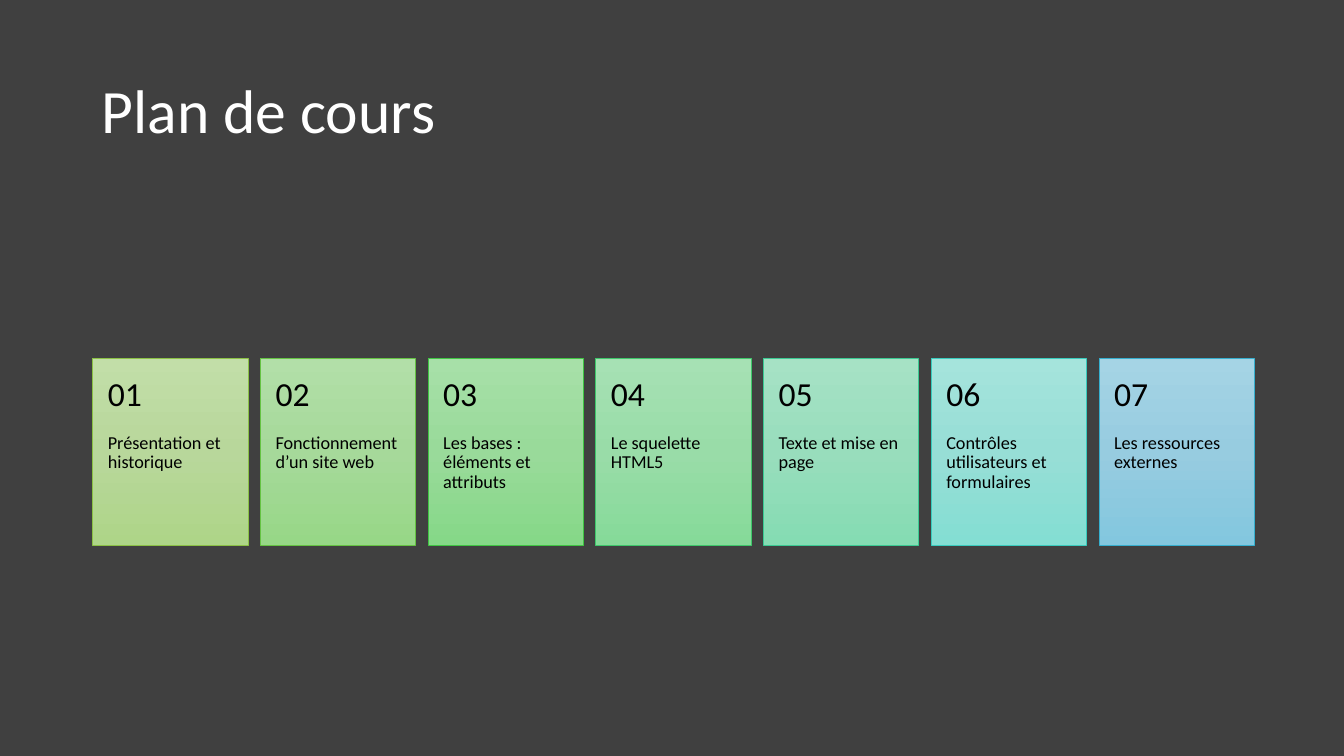
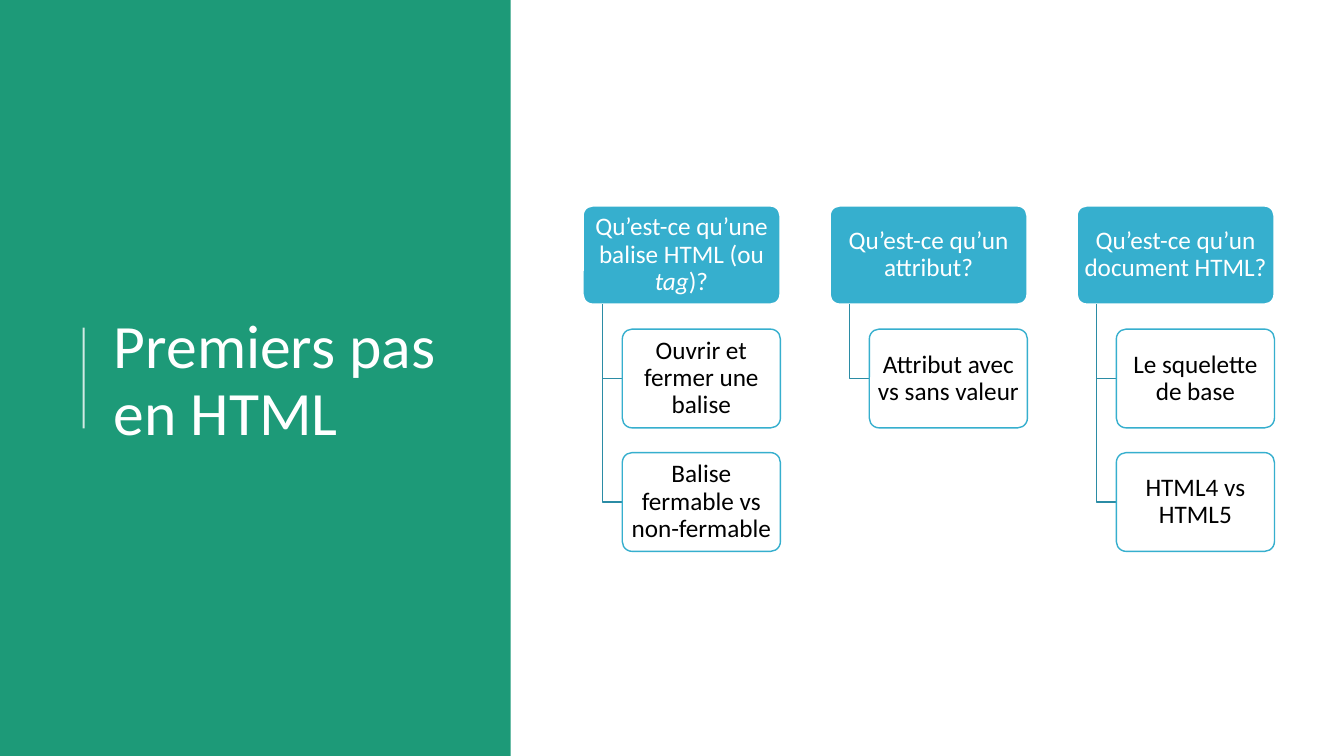
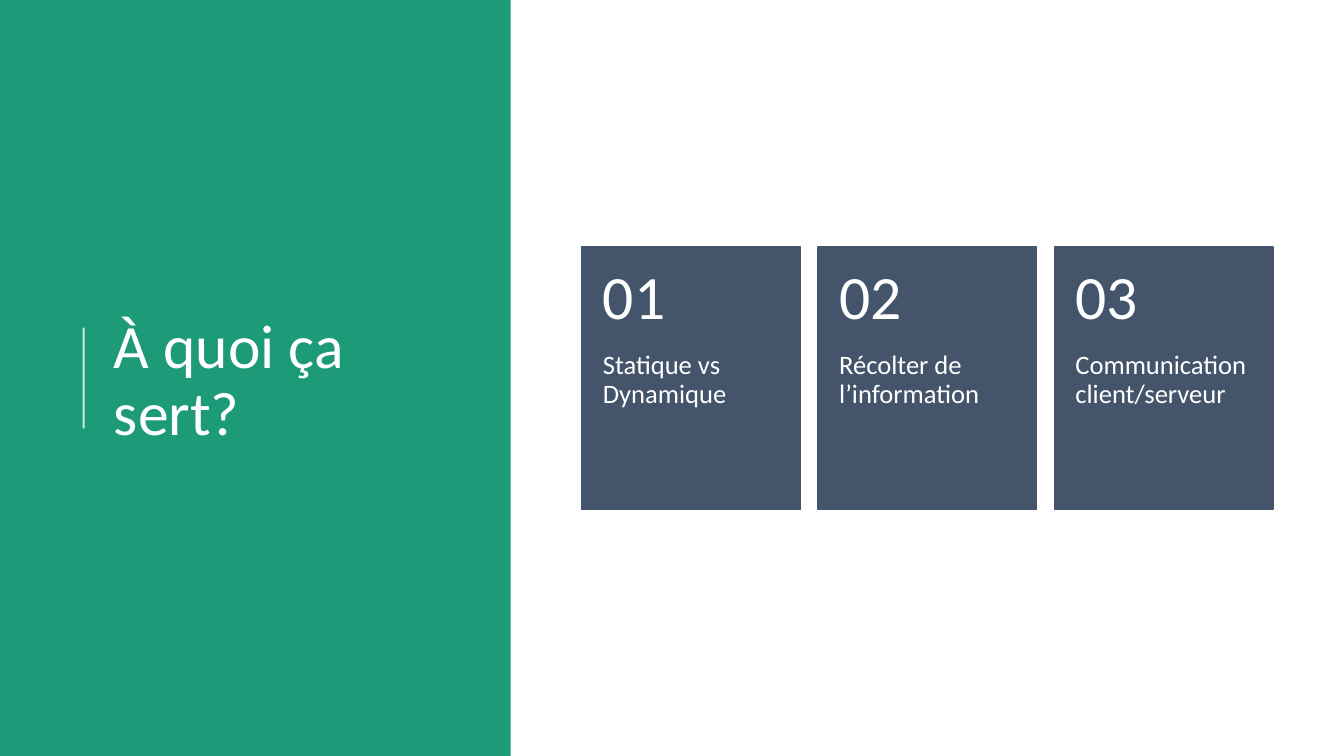
from copy import deepcopy
from dataclasses import dataclass

from lxml.etree import SubElement
from pptx import Presentation
from pptx.dml.color import RGBColor
from pptx.enum.shapes import MSO_CONNECTOR as Conn, MSO_SHAPE as Geo
from pptx.enum.text import MSO_ANCHOR as Anchor, MSO_AUTO_SIZE as Auto, PP_ALIGN as Align
from pptx.oxml.ns import qn
from pptx.shapes.base import BaseShape
from pptx.slide import Slide
from pptx.text.text import TextFrame
from pptx.util import Inches, Pt

WIDTH, HEIGHT = 13.33, 7.5
FONT = "Calibri"
COLORS = {
    "dark": "404040", "white": "FFFFFF", "black": "000000", "panel": "1D9A78",
    "topic": "36AFCE", "branch": "2B8CA5", "slate": "44546A",
}


@dataclass(frozen=True)
class Box:
    left: float
    top: float
    width: float
    height: float

    def emu(self) -> tuple[int, ...]:
        return tuple(Inches(v) for v in (self.left, self.top, self.width, self.height))


@dataclass(frozen=True)
class TextStyle:
    size: int
    color: str
    align: Align = Align.LEFT
    anchor: Anchor = Anchor.MIDDLE
    insets: tuple[float, float, float, float] = (0.1, 0.05, 0.1, 0.05)


@dataclass(frozen=True)
class Card:
    label: str
    fill: tuple[str, ...] = (COLORS["slate"],)
    line: str = COLORS["slate"]


@dataclass(frozen=True)
class CardRow:
    left: float
    top: float
    width: float
    inset: float
    number_size: int
    label_size: int
    color: str
    line_width: float


@dataclass(frozen=True)
class Topic:
    """A heading and its subtopics; text between underscores is italic."""
    heading: str
    subtopics: tuple[str, ...]


TITLE_STYLE = TextStyle(44, COLORS["white"])
TOPIC_INSETS = (0.04, 0.03, 0.04, 0.03)
HEADING_STYLE = TextStyle(18, COLORS["white"], Align.CENTER, insets=TOPIC_INSETS)
SUBTOPIC_STYLE = TextStyle(18, COLORS["black"], Align.CENTER, insets=TOPIC_INSETS)

WIDE_TITLE = Box(0.91, 0.4, 11.51, 1.45)
PANEL = Box(0, 0, 0.38 * WIDTH, HEIGHT)
PANEL_TITLE = Box(1.03, 0.78, 3.69, 6.02)

PLAN_ROW = CardRow(0.92, 3.56, 1.54, 0.15, 24, 13, COLORS["black"], 0.5)
PLAN_CARDS = (
    Card("Présentation et historique", ("C2DEA8", "B8D79B", "AED588"), "8BC145"),
    Card("Fonctionnement d’un site web", ("B2DFA8", "A6D99A", "97D787"), "65C343"),
    Card("Les bases : éléments et attributs", ("A7E0A8", "99DA9A", "86D888"), "40C543"),
    Card("Le squelette HTML5", ("A6E1B4", "99DCA8", "86DA99"), "3EC76A"),
    Card("Texte et mise en page", ("A6E2C5", "98DDBC", "85DCB3"), "3BCA93"),
    Card("Contrôles utilisateurs et formulaires", ("A5E4DC", "97DED6", "84DED3"), "39CCBE"),
    Card("Les ressources externes", ("A5D4E5", "97CCE0", "83C7DF"), "36AFCE"),
)

TOPICS = (
    Topic("Qu’est-ce qu’une balise HTML (ou _tag_)?",
          ("Ouvrir et fermer une balise", "Balise fermable vs non-fermable")),
    Topic("Qu’est-ce qu’un attribut?", ("Attribut avec vs sans valeur",)),
    Topic("Qu’est-ce qu’un document HTML?", ("Le squelette de base", "HTML4 vs HTML5")),
)

USE_ROW = CardRow(5.77, 2.45, 2.17, 0.21, 44, 19, COLORS["white"], 1)
USE_CARDS = (
    Card("Statique vs Dynamique"),
    Card("Récolter de l’information"),
    Card("Communication client/serveur"),
)


def rgb(color: str) -> RGBColor:
    return RGBColor.from_string(color)


def set_alpha(element, percent: int) -> None:
    SubElement(next(element.iter(qn("a:srgbClr"))), qn("a:alpha"), val=str(percent * 1000))


def write(tf: TextFrame, text: str, style: TextStyle) -> None:
    left, top, right, bottom = style.insets
    frame = {
        "word_wrap": True, "auto_size": Auto.NONE, "vertical_anchor": style.anchor,
        "margin_left": Inches(left), "margin_top": Inches(top),
        "margin_right": Inches(right), "margin_bottom": Inches(bottom),
    }
    for name, value in frame.items():
        setattr(tf, name, value)
    p = tf.paragraphs[0]
    p.alignment, p.line_spacing = style.align, 0.9
    for i, part in enumerate(text.split("_")):
        r = p.add_run()
        r.text = part
        font = {"name": FONT, "size": Pt(style.size), "italic": i % 2 == 1}
        for name, value in font.items():
            setattr(r.font, name, value)
        r.font.color.rgb = rgb(style.color)


def set_fill(sp: BaseShape, colors: tuple[str, ...]) -> None:
    """Fill with one colour, or with three from top to bottom."""
    if len(colors) == 1:
        sp.fill.solid()
        sp.fill.fore_color.rgb = rgb(colors[0])
        return
    sp.fill.gradient()
    sp.fill.gradient_angle = 270
    stop_list = next(sp._element.iter(qn("a:gsLst")))
    stop_list.insert(1, deepcopy(stop_list[0]))
    for i, (stop, color) in enumerate(zip(sp.fill.gradient_stops, colors)):
        stop.position = i / 2
        stop.color.rgb = rgb(color)


def set_line(sp: BaseShape, color: str, width: float) -> None:
    sp.line.color.rgb = rgb(color)
    sp.line.width = Pt(width)


def add_box(s: Slide, geo: Geo, box: Box, fill: tuple[str, ...],
            line: str | None = None, line_width: float = 1) -> BaseShape:
    sp = s.shapes.add_shape(geo, *box.emu())
    sp.shadow.inherit = False
    set_fill(sp, fill)
    if line:
        set_line(sp, line, line_width)
    else:
        sp.line.fill.background()
    return sp


def add_slide(prs: Presentation, background: str) -> Slide:
    s = prs.slides.add_slide(prs.slide_layouts[5])
    s.background.fill.solid()
    s.background.fill.fore_color.rgb = rgb(background)
    return s


def add_title(s: Slide, text: str, box: Box) -> None:
    title = s.shapes.title
    title.left, title.top, title.width, title.height = box.emu()
    write(title.text_frame, text, TITLE_STYLE)
    title._element.getparent().append(title._element)


def add_panel_slide(prs: Presentation, title: str) -> Slide:
    s = add_slide(prs, COLORS["white"])
    add_box(s, Geo.RECTANGLE, PANEL, (COLORS["panel"],))
    x = Inches(0.83)
    rule = s.shapes.add_connector(Conn.STRAIGHT, x, Inches(4.25), x, Inches(3.25))
    set_line(rule, COLORS["white"], 1.5)
    set_alpha(rule._element, 80)
    SubElement(rule._element.spPr, qn("a:effectLst"))
    add_title(s, title, PANEL_TITLE)
    return s


def add_cards(s: Slide, row: CardRow, cards: tuple[Card, ...]) -> None:
    """Draw numbered cards; the number takes the top 40 % of each."""
    height = 1.2 * row.width
    number_height = 0.4 * height
    number_style = TextStyle(row.number_size, row.color,
                             insets=(row.inset, 0.18, row.inset, 0.18))
    label_style = TextStyle(row.label_size, row.color, anchor=Anchor.TOP,
                            insets=(row.inset, number_height, row.inset, 0.36))
    for i, card in enumerate(cards):
        left = row.left + i * 1.08 * row.width
        sp = add_box(s, Geo.RECTANGLE, Box(left, row.top, row.width, height),
                     card.fill, card.line, row.line_width)
        write(sp.text_frame, card.label, label_style)
        number = s.shapes.add_textbox(*Box(left, row.top, row.width, number_height).emu())
        write(number.text_frame, f"{i + 1:02d}", number_style)


def add_branch(s: Slide, x: float, top: float, bottom: float, right: float) -> None:
    """Draw an elbow that goes down and then right."""
    start, *ends = [(Inches(a), Inches(b)) for a, b in ((x, top), (x, bottom), (right, bottom))]
    builder = s.shapes.build_freeform(*start)
    builder.add_line_segments(ends, close=False)
    sp = builder.convert_to_shape()
    sp.shadow.inherit = False
    sp.fill.background()
    set_line(sp, COLORS["branch"], 1)


def add_topics(s: Slide, topics: tuple[Topic, ...]) -> None:
    left, top, width, height = 5.78, 2.04, 1.96, 0.98
    for column, topic in enumerate(topics):
        x = left + column * 1.25 * width
        heading = add_box(s, Geo.ROUNDED_RECTANGLE, Box(x, top, width, height),
                          (COLORS["topic"],), COLORS["white"], 1.5)
        heading.adjustments[0] = 0.1
        write(heading.text_frame, topic.heading, HEADING_STYLE)
        for row, text in enumerate(topic.subtopics, start=1):
            box = Box(x + 0.2 * width, top + row * 1.25 * height, 0.8 * width, height)
            add_branch(s, x + 0.1 * width, top + height, box.top + height / 2, box.left)
            sp = add_box(s, Geo.ROUNDED_RECTANGLE, box, (COLORS["white"],), COLORS["topic"])
            sp.adjustments[0] = 0.1
            set_alpha(sp._element, 90)
            write(sp.text_frame, text, SUBTOPIC_STYLE)


def main() -> None:
    prs = Presentation()
    prs.slide_width, prs.slide_height = Inches(WIDTH), Inches(HEIGHT)

    plan = add_slide(prs, COLORS["dark"])
    add_title(plan, "Plan de cours", WIDE_TITLE)
    add_cards(plan, PLAN_ROW, PLAN_CARDS)

    add_topics(add_panel_slide(prs, "Premiers pas en HTML"), TOPICS)
    add_cards(add_panel_slide(prs, "À quoi ça sert?"), USE_ROW, USE_CARDS)

    prs.save("out.pptx")


if __name__ == "__main__":
    main()
